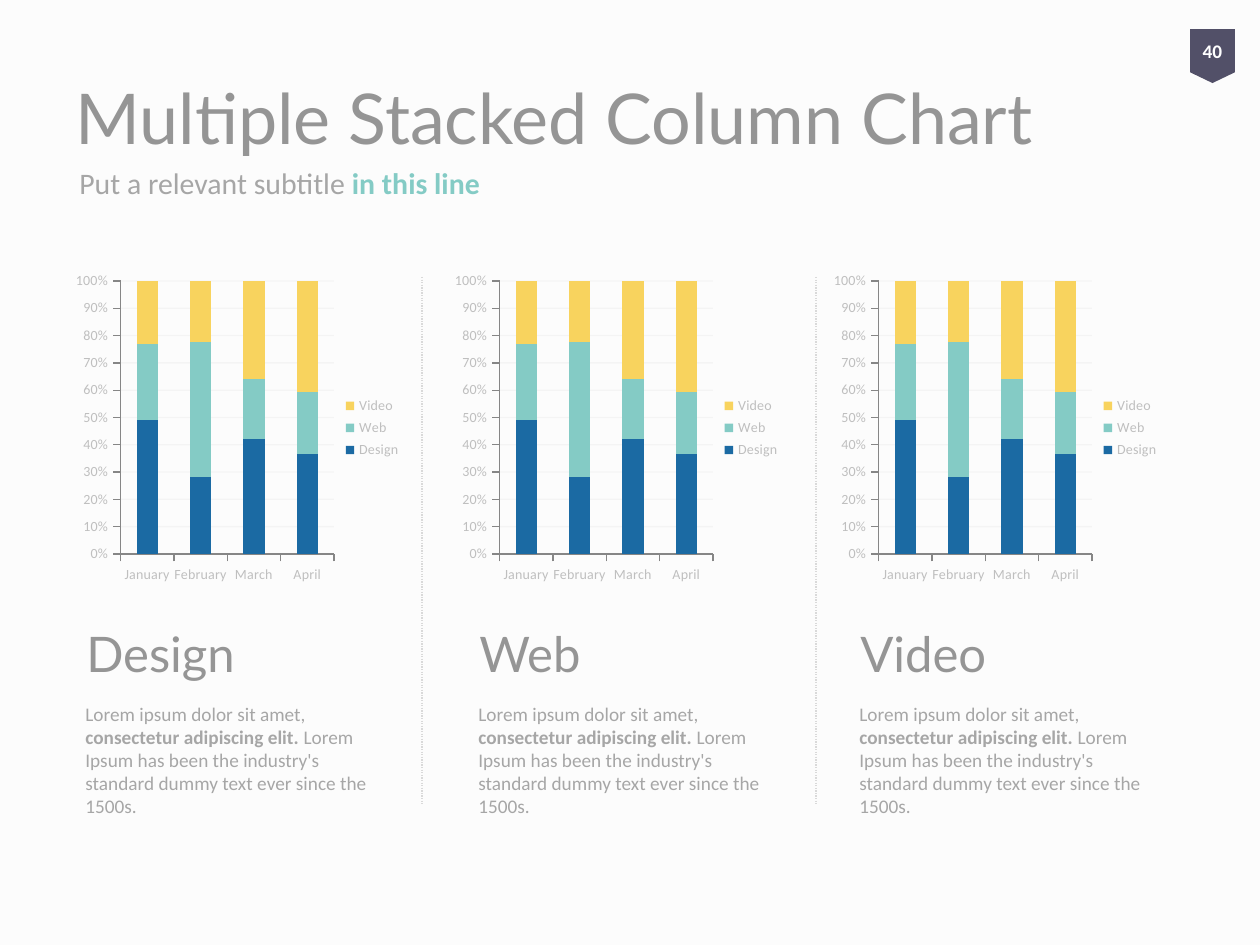
from dataclasses import dataclass

from lxml import etree
from pptx import Presentation
from pptx.chart.data import CategoryChartData
from pptx.dml.color import RGBColor
from pptx.enum.chart import XL_CHART_TYPE, XL_LEGEND_POSITION, XL_TICK_MARK
from pptx.enum.dml import MSO_LINE
from pptx.enum.shapes import MSO_CONNECTOR, MSO_SHAPE
from pptx.enum.text import MSO_ANCHOR, PP_ALIGN
from pptx.oxml.ns import qn
from pptx.util import Emu, Pt

STACKED = XL_CHART_TYPE.COLUMN_STACKED_100
LEGEND_RIGHT = XL_LEGEND_POSITION.RIGHT
TICK_OUT = XL_TICK_MARK.OUTSIDE
DOTTED = MSO_LINE.ROUND_DOT
STRAIGHT = MSO_CONNECTOR.STRAIGHT
PENNANT = MSO_SHAPE.FLOWCHART_OFFPAGE_CONNECTOR
TOP, MIDDLE = MSO_ANCHOR.TOP, MSO_ANCHOR.MIDDLE
CENTER = PP_ALIGN.CENTER

EMU_PER_PX = 914400 / 126
HEADING_FONT, BODY_FONT = "Lato", "Calibri"
COLORS = {
    "background": "FCFCFC", "heading": "959595", "body": "A6A6A6",
    "accent": "84CBC5", "divider": "D9D9D9", "chart_text": "BFBFBF",
    "axis": "868686", "grid": "808080", "badge": "525068", "white": "FFFFFF",
    "Design": "1B6AA3", "Web": "84CBC5", "Video": "F8D35E",
}
MONTHS = ["January", "February", "March", "April"]
SHARES = {
    "Design": [49, 28, 42, 37],
    "Web": [28, 49, 22, 23],
    "Video": [23, 22, 36, 41],
}
CHART_TOP, CHART_WIDTH, CHART_HEIGHT = 266, 345, 324
DIVIDER_TOP, DIVIDER_BOTTOM = 277, 805
GRID_ALPHA = 6


@dataclass(frozen=True)
class Box:
    left: int
    top: int
    width: int
    height: int

    def emu(self) -> list[Emu]:
        return [px(n) for n in (self.left, self.top, self.width, self.height)]


@dataclass(frozen=True)
class Run:
    text: str
    bold: bool = False
    color: str = ""


@dataclass(frozen=True)
class Panel:
    heading: str
    chart_left: int
    text_left: int


PANELS = [Panel("Design", 69, 73), Panel("Web", 448, 466), Panel("Video", 827, 847)]
DIVIDERS = [422, 816]
BLURB = [
    Run("Lorem ipsum dolor sit amet, "),
    Run("consectetur adipiscing elit. ", bold=True),
    Run("Lorem Ipsum has been the industry's standard dummy text ever since the 1500s."),
]


def px(length: int) -> Emu:
    return Emu(round(length * EMU_PER_PX))


def rgb(name: str) -> RGBColor:
    return RGBColor.from_string(COLORS[name])


def style_font(font, name: str, size: int, color: str) -> None:
    font.name, font.size = name, Pt(size)
    font.color.rgb = rgb(color)


def add_text(slide, box: Box, runs: list[Run], font: str, size: int,
             color: str, anchor=MIDDLE) -> None:
    frame = slide.shapes.add_textbox(*box.emu()).text_frame
    frame.word_wrap = True
    frame.vertical_anchor = anchor
    paragraph = frame.paragraphs[0]
    style_font(paragraph.font, font, size, color)
    for part in runs:
        run = paragraph.add_run()
        run.text = part.text
        if part.bold:
            run.font.bold = True
        if part.color:
            run.font.color.rgb = rgb(part.color)


def add_divider(slide, x: int) -> None:
    divider = slide.shapes.add_connector(
        STRAIGHT, px(x), px(DIVIDER_TOP), px(x), px(DIVIDER_BOTTOM))
    divider.line.color.rgb = rgb("divider")
    divider.line.width = Pt(0.75)
    divider.line.dash_style = DOTTED
    etree.SubElement(divider.line._get_or_add_ln().getparent(), qn("a:effectLst"))


def style_gridlines(axis) -> None:
    """Draw the gridlines thin and almost transparent."""
    line = axis.major_gridlines.format.line
    line.color.rgb = rgb("grid")
    line.width = Pt(0.75)
    for color in axis.major_gridlines._xAx.iter(qn("a:srgbClr")):
        if color.getparent().getparent().getparent().getparent().tag == qn("c:majorGridlines"):
            etree.SubElement(color, qn("a:alpha"), val=str(GRID_ALPHA * 1000))


def add_share_chart(slide, left: int) -> None:
    data = CategoryChartData()
    data.categories = MONTHS
    for name, shares in SHARES.items():
        data.add_series(name, shares)
    box = Box(left, CHART_TOP, CHART_WIDTH, CHART_HEIGHT)
    chart = slide.shapes.add_chart(STACKED, *box.emu(), data).chart
    style_font(chart.font, BODY_FONT, 8, "chart_text")
    chart.has_title = False
    chart.has_legend = True
    chart.legend.position = LEGEND_RIGHT
    chart.legend.include_in_layout = False

    plot = chart.plots[0]
    plot.gap_width, plot.overlap = 150, 100
    plot.vary_by_categories = False
    for series in plot.series:
        series.format.fill.solid()
        series.format.fill.fore_color.rgb = rgb(series.name)

    for axis in (chart.category_axis, chart.value_axis):
        axis.major_tick_mark = TICK_OUT
        axis.format.line.color.rgb = rgb("axis")
        axis.format.line.width = Pt(0.75)
    chart.value_axis.has_major_gridlines = True
    chart.value_axis.tick_labels.number_format = "0%"
    chart.value_axis.tick_labels.number_format_is_linked = False
    style_gridlines(chart.value_axis)


def add_page_badge(slide, number: str) -> None:
    badge = slide.shapes.add_shape(PENNANT, *Box(1190, 29, 45, 54).emu())
    badge.shadow.inherit = False
    badge.fill.solid()
    badge.fill.fore_color.rgb = rgb("badge")
    badge.line.fill.background()
    frame = badge.text_frame
    frame.margin_left = frame.margin_right = 0
    frame.vertical_anchor = MIDDLE
    paragraph = frame.paragraphs[0]
    paragraph.text = number
    paragraph.alignment = CENTER
    style_font(paragraph.font, BODY_FONT, 11, "white")
    paragraph.font.bold = True


def main() -> None:
    deck = Presentation()
    deck.slide_width, deck.slide_height = px(1260), px(945)
    slide = deck.slides.add_slide(deck.slide_layouts[6])
    slide.background.fill.solid()
    slide.background.fill.fore_color.rgb = rgb("background")

    add_text(slide, Box(63, 38, 1197, 157), [Run("Multiple Stacked Column Chart")],
             HEADING_FONT, 40, "heading")
    subtitle = [Run("Put a relevant subtitle "), Run("in this line", True, "accent")]
    add_text(slide, Box(67, 149, 1134, 67), subtitle, BODY_FONT, 17, "body")

    for panel in PANELS:
        add_text(slide, Box(panel.text_left, 696, 328, 134), BLURB,
                 BODY_FONT, 11, "body", TOP)
        add_text(slide, Box(panel.text_left + 1, 604, 318, 98), [Run(panel.heading)],
                 HEADING_FONT, 28, "heading")
        add_share_chart(slide, panel.chart_left)
    for x in DIVIDERS:
        add_divider(slide, x)
    add_page_badge(slide, "40")
    deck.save("out.pptx")


if __name__ == "__main__":
    main()
